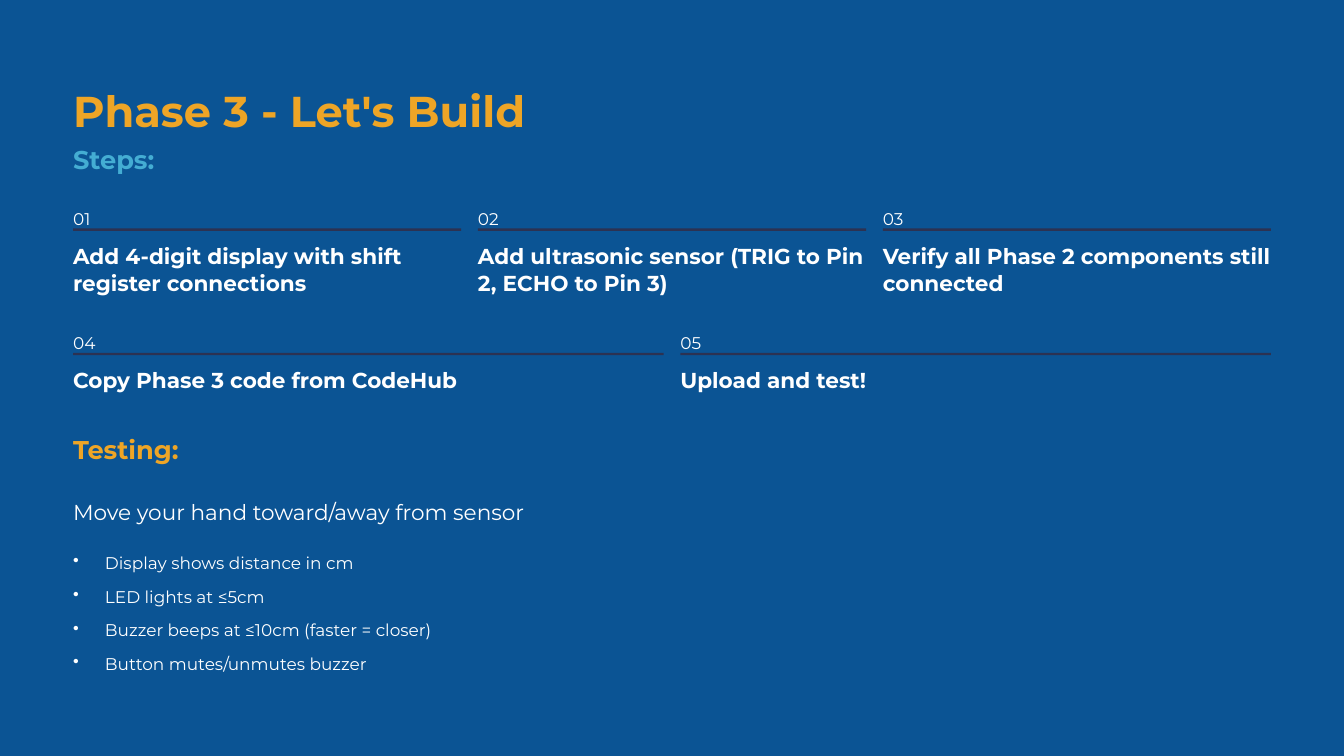
from lxml import etree
from pptx import Presentation
from pptx.dml.color import RGBColor
from pptx.enum.shapes import MSO_SHAPE
from pptx.oxml.ns import qn
from pptx.util import Inches, Pt

RECTANGLE = MSO_SHAPE.RECTANGLE
FONT = "Montserrat"
BLUE, ORANGE, CYAN, WHITE, NAVY = "0B5494", "EEA526", "44ADD3", "FFFFFF", "2C3252"

# Page grid in inches
WIDTH, HEIGHT = 16, 9
MARGIN, GAP = 0.87, 0.2
CONTENT = WIDTH - 2 * MARGIN
BULLET_INDENT = 0.38

# Top of each row of steps, the height of its texts, and the texts
STEP_ROWS = [
    (2.4, 0.64, ["Add 4-digit display with shift register connections",
                 "Add ultrasonic sensor (TRIG to Pin 2, ECHO to Pin 3)",
                 "Verify all Phase 2 components still connected"]),
    (3.88, 0.32, ["Copy Phase 3 code from CodeHub", "Upload and test!"]),
]
CHECKS = ["Display shows distance in cm", "LED lights at ≤5cm",
          "Buzzer beeps at ≤10cm (faster = closer)", "Button mutes/unmutes buzzer"]


def color(value):
    return RGBColor.from_string(value)


def add_bullet(para):
    properties = para._p.get_or_add_pPr()
    properties.set("marL", str(Inches(BULLET_INDENT)))
    properties.set("indent", str(-Inches(BULLET_INDENT)))
    etree.SubElement(properties, qn("a:buChar")).set("char", "•")


def add_text(page, lines, left, top, width, height, *, size, leading,
             ink=WHITE, bold=False, bullet=False, after=0):
    """Add a text box with one paragraph for each line."""
    box = page.shapes.add_textbox(*map(Inches, (left, top, width, height)))
    frame = box.text_frame
    frame.word_wrap = True
    frame.margin_left = frame.margin_right = frame.margin_top = frame.margin_bottom = 0
    for index, line in enumerate(lines):
        para = frame.paragraphs[0] if index == 0 else frame.add_paragraph()
        if bullet:
            add_bullet(para)
        para.line_spacing = Pt(leading)
        para.space_after = Pt(after)
        span = para.add_run()
        span.text = line
        span.font.name = FONT
        span.font.size = Pt(size)
        span.font.bold = bold
        span.font.color.rgb = color(ink)


def add_rule(page, left, top, width):
    rule = page.shapes.add_shape(RECTANGLE, *map(Inches, (left, top, width, 0.03)))
    rule.shadow.inherit = False
    rule.fill.solid()
    rule.fill.fore_color.rgb = color(NAVY)
    rule.line.fill.background()


def add_step(page, number, text, left, top, width, height):
    add_text(page, [f"{number:02}"], left, top, 0.4, 0.26, size=14.5, leading=23.5)
    add_rule(page, left, top + 0.32, width)
    add_text(page, [text], left, top + 0.48, width, height,
             size=18.5, leading=23, bold=True)


def add_steps(page):
    number = 1
    for top, height, texts in STEP_ROWS:
        width = (CONTENT - GAP * (len(texts) - 1)) / len(texts)
        for column, text in enumerate(texts):
            left = MARGIN + column * (width + GAP)
            add_step(page, number, text, left, top, width, height)
            number += 1


def main():
    deck = Presentation()
    deck.slide_width, deck.slide_height = Inches(WIDTH), Inches(HEIGHT)
    page = deck.slides.add_slide(deck.slide_layouts[6])
    page.background.fill.solid()
    page.background.fill.fore_color.rgb = color(BLUE)

    # Title and steps
    add_text(page, ["Phase 3 - Let's Build"], MARGIN, 0.98, 6, 0.64,
             size=37, leading=46, ink=ORANGE, bold=True)
    add_text(page, ["Steps:"], MARGIN, 1.7, 3.09, 0.39,
             size=22, leading=27.5, ink=CYAN, bold=True)
    add_steps(page)

    # Testing
    add_text(page, ["Testing:"], MARGIN, 5.15, 3.09, 0.39,
             size=22, leading=27.5, ink=ORANGE, bold=True)
    add_text(page, ["Move your hand toward/away from sensor"],
             MARGIN, 5.84, CONTENT, 0.41, size=18.5, leading=29.5)
    add_text(page, CHECKS, MARGIN, 6.49, CONTENT, 1.53,
             size=14.5, leading=23.5, bullet=True, after=5.5)

    deck.save("out.pptx")


if __name__ == "__main__":
    main()
